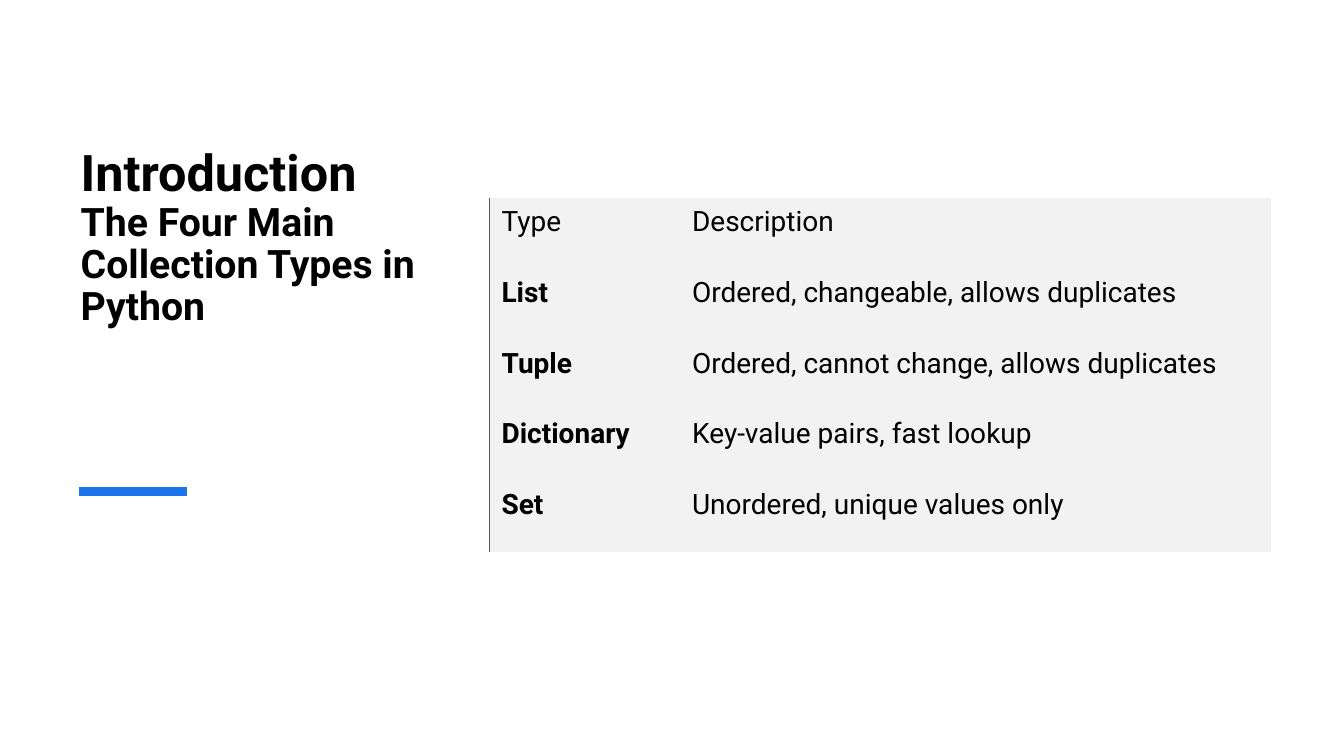
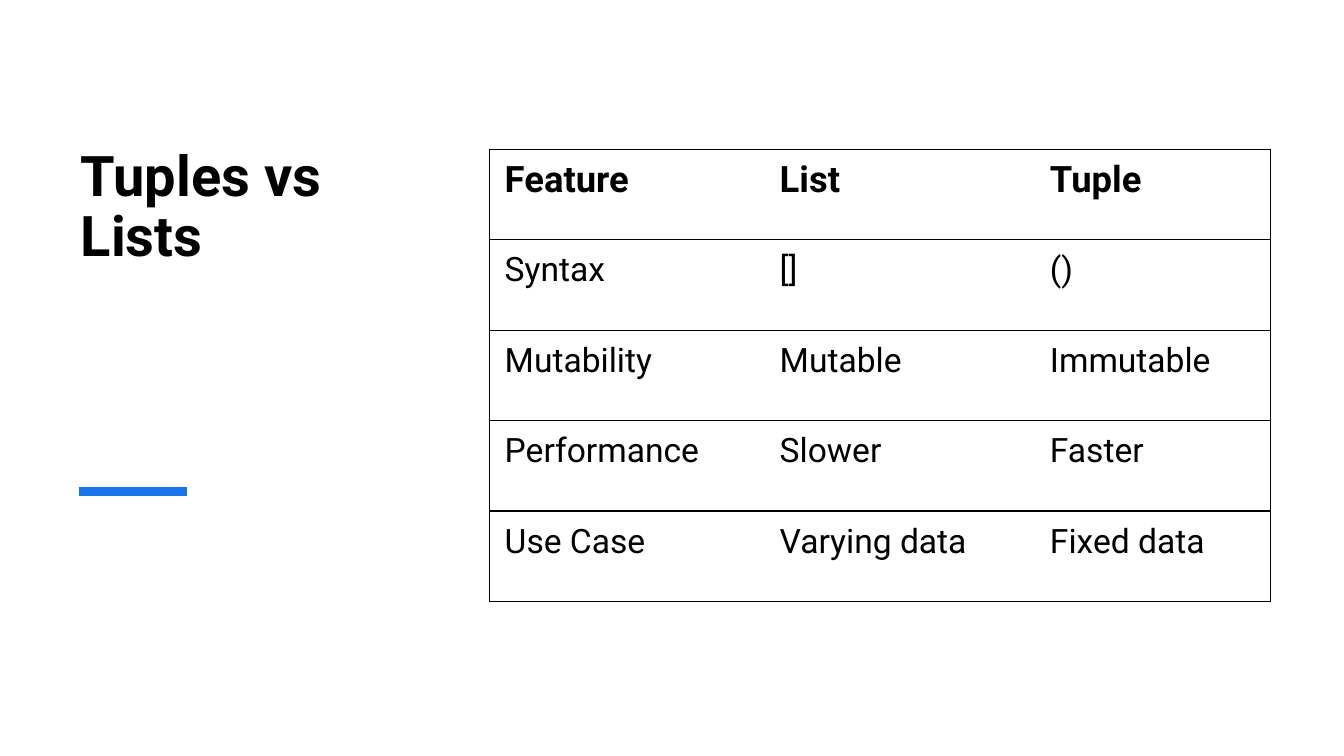
from dataclasses import dataclass

from lxml import etree
from pptx import Presentation
from pptx.dml.color import RGBColor
from pptx.enum.shapes import MSO_CONNECTOR
from pptx.enum.text import MSO_ANCHOR, MSO_AUTO_SIZE, PP_ALIGN
from pptx.oxml.ns import qn
from pptx.slide import Slide
from pptx.table import _Cell
from pptx.util import Cm, Pt

STRAIGHT = MSO_CONNECTOR.STRAIGHT
TOP, MIDDLE = MSO_ANCHOR.TOP, MSO_ANCHOR.MIDDLE
LEFT = PP_ALIGN.LEFT
NO_FIT = MSO_AUTO_SIZE.NONE

BLACK = RGBColor(0x00, 0x00, 0x00)
WHITE = RGBColor(0xFF, 0xFF, 0xFF)
BLUE = RGBColor(0x19, 0x73, 0xEB)
PALE = RGBColor(0xF2, 0xF2, 0xF2)
GREY = RGBColor(0x59, 0x59, 0x59)
FONT = "Roboto"
TITLE_ONLY = 5
GRID_X = 12.34  # left edge of both tables, in cm


@dataclass(frozen=True)
class Line:
    text: str
    size: int


@dataclass(frozen=True)
class Grid:
    top: float                # cm
    cols: tuple[float, ...]   # cm
    row: float                # cm
    pad: tuple[float, ...]    # left, top, right, bottom in cm
    fill: RGBColor
    edge: RGBColor
    ruled: bool               # rules around every row, or a left edge only
    bold_head: bool           # bold first row, or bold first column
    head: int                 # text size of the first row
    size: int
    cells: tuple[tuple[str, ...], ...]


@dataclass(frozen=True)
class Page:
    title: tuple[Line, ...]
    grid: Grid


PAGES = (
    Page(
        (Line("Introduction", 36),
         Line("The Four Main Collection Types in Python", 28)),
        Grid(5.0, (4.8, 14.88), 1.78, (0.3, 0.08, 0.43, 0.66),
             PALE, GREY, False, False, 20, 20, (
                 ("Type", "Description"),
                 ("List", "Ordered, changeable, allows duplicates"),
                 ("Tuple", "Ordered, cannot change, allows duplicates"),
                 ("Dictionary", "Key-value pairs, fast lookup"),
                 ("Set", "Unordered, unique values only"))),
    ),
    Page(
        (Line("Tuples vs Lists", 40),),
        Grid(3.76, (6.93, 6.81, 5.94), 2.28, (0.38, 0.1, 0.56, 0.84),
             WHITE, BLACK, True, True, 26, 24, (
                 ("Feature", "List", "Tuple"),
                 ("Syntax", "[]", "()"),
                 ("Mutability", "Mutable", "Immutable"),
                 ("Performance", "Slower", "Faster"),
                 ("Use Case", "Varying data", "Fixed data"))),
    ),
)


def add_run(par, text: str, size: int, bold: bool) -> None:
    run = par.add_run()
    run.text = text
    font = run.font
    font.name, font.size, font.bold = FONT, Pt(size), bold
    font.color.rgb = BLACK


def add_title(slide: Slide, lines: tuple[Line, ...]) -> None:
    title = slide.shapes.title
    title.left, title.top = Cm(1.78), Cm(3.6)
    title.width, title.height = Cm(9.14), Cm(7.7)
    frame = title.text_frame
    frame.word_wrap, frame.auto_size = True, NO_FIT
    frame.vertical_anchor = TOP
    par = frame.paragraphs[0]
    par.alignment, par.line_spacing = LEFT, 0.9
    for i, line in enumerate(lines):
        if i:
            par.add_line_break()
        add_run(par, line.text, line.size, True)


def add_accent(slide: Slide) -> None:
    y = Cm(12.39)
    bar = slide.shapes.add_connector(STRAIGHT, Cm(1.98), y, Cm(4.7), y)
    bar.line.color.rgb, bar.line.width = BLUE, Pt(6)
    etree.SubElement(bar._element.spPr, qn("a:effectLst"))


def set_edges(cell: _Cell, sides: str, color: RGBColor) -> None:
    """Rule the named sides (from L, R, T, B) and clear the others."""
    props = cell._tc.get_or_add_tcPr()
    for i, side in enumerate("LRTB"):
        edge = etree.Element(qn(f"a:ln{side}"), w=str(Pt(1)))
        if side in sides:
            fill = etree.SubElement(edge, qn("a:solidFill"))
            etree.SubElement(fill, qn("a:srgbClr"), val=str(color))
        else:
            etree.SubElement(edge, qn("a:noFill"))
        props.insert(i, edge)


def add_grid(slide: Slide, grid: Grid) -> None:
    rows, cols = len(grid.cells), len(grid.cols)
    table = slide.shapes.add_table(
        rows, cols, Cm(GRID_X), Cm(grid.top),
        Cm(sum(grid.cols)), Cm(grid.row * rows)).table
    table.first_row = table.horz_banding = False
    for col, width in zip(table.columns, grid.cols):
        col.width = Cm(width)
    for r, texts in enumerate(grid.cells):
        table.rows[r].height = Cm(grid.row)
        for c, text in enumerate(texts):
            cell = table.cell(r, c)
            (cell.margin_left, cell.margin_top,
             cell.margin_right, cell.margin_bottom) = map(Cm, grid.pad)
            cell.vertical_anchor = MIDDLE
            cell.fill.solid()
            cell.fill.fore_color.rgb = grid.fill
            # Outer sides, plus row rules where the grid is ruled
            sides = "L" if c == 0 else ""
            if grid.ruled:
                sides += "TB" + ("R" if c == cols - 1 else "")
            set_edges(cell, sides, grid.edge)
            bold = r == 0 if grid.bold_head else c == 0 and r > 0
            size = grid.head if r == 0 else grid.size
            add_run(cell.text_frame.paragraphs[0], text, size, bold)


def main() -> None:
    deck = Presentation()
    deck.slide_width, deck.slide_height = Cm(33.87), Cm(19.05)
    for page in PAGES:
        slide = deck.slides.add_slide(deck.slide_layouts[TITLE_ONLY])
        add_title(slide, page.title)
        add_accent(slide)
        add_grid(slide, page.grid)
    deck.save("out.pptx")


if __name__ == "__main__":
    main()
